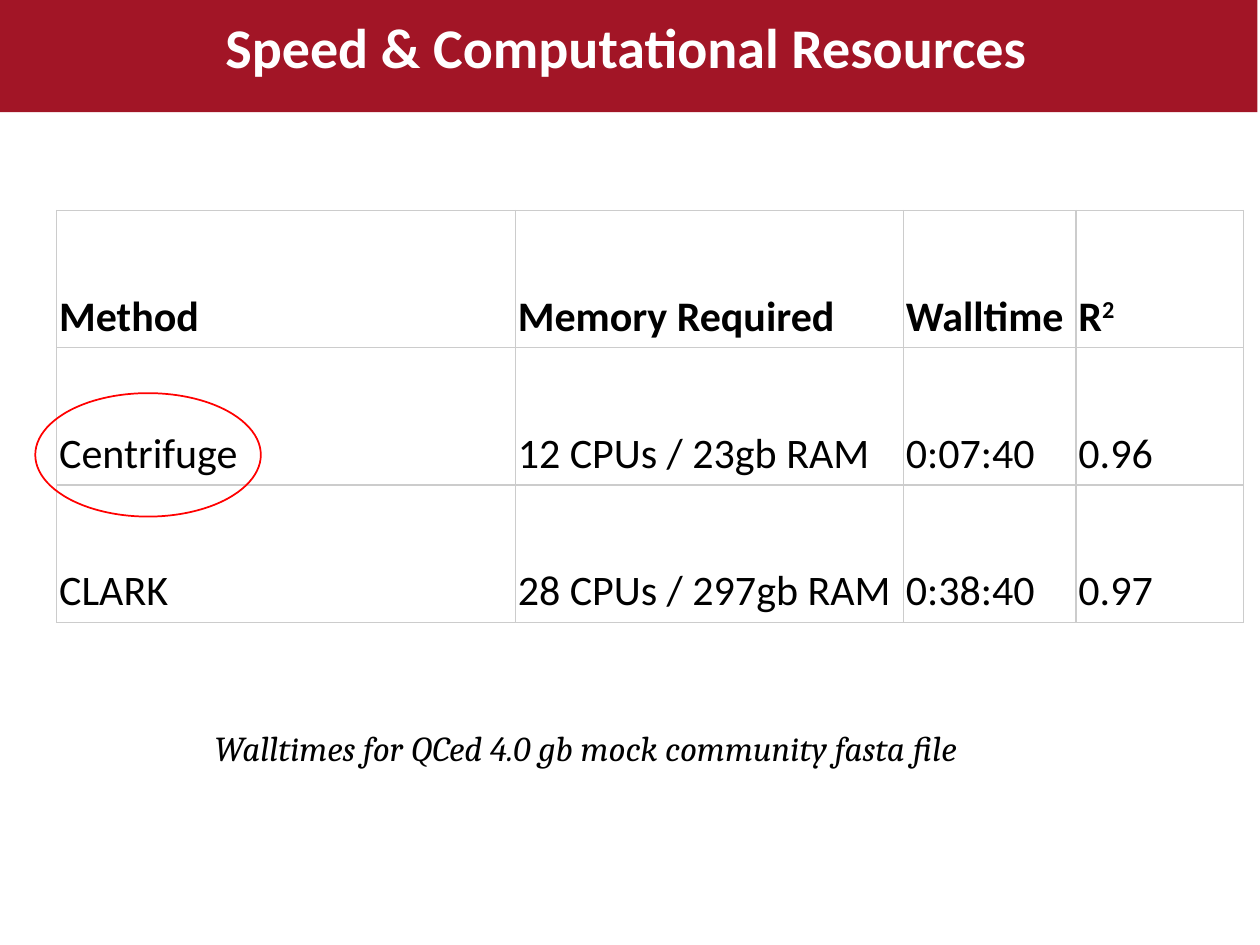
from lxml import etree
from pptx import Presentation
from pptx.dml.color import RGBColor
from pptx.enum.shapes import MSO_SHAPE
from pptx.enum.text import MSO_ANCHOR, PP_ALIGN
from pptx.oxml.ns import qn
from pptx.util import Inches, Pt

RECTANGLE, OVAL = MSO_SHAPE.RECTANGLE, MSO_SHAPE.OVAL
CENTER, JUSTIFY = PP_ALIGN.CENTER, PP_ALIGN.JUSTIFY
TOP, BOTTOM = MSO_ANCHOR.TOP, MSO_ANCHOR.BOTTOM

COLORS = {
    "background": "FFFFFF",
    "banner": "A21526",
    "title": "FFFFFF",
    "text": "000000",
    "grid": "CCCCCC",
    "highlight": "FF0000",
}

# Table grid, in inches
LEFT, TABLE_TOP = 0.45, 1.67
COLUMN_WIDTHS = [3.64, 3.08, 1.37, 1.33]
ROW_HEIGHT = 1.09
ROWS = [
    ["Method", "Memory Required", "Walltime", "R^2"],
    ["Centrifuge", "12 CPUs / 23gb RAM", "0:07:40", "0.96"],
    ["CLARK", "28 CPUs / 297gb RAM", "0:38:40", "0.97"],
]

TITLE_FONT = {"name": "Calibri", "size": Pt(32), "bold": True}
TABLE_FONT = {"name": "Calibri", "size": Pt(24)}
CAPTION_FONT = {"name": "Cambria", "size": Pt(20), "italic": True}


def color(name):
    return RGBColor.from_string(COLORS[name])


def set_attributes(target, values):
    for name, value in values.items():
        setattr(target, name, value)


def add_run(paragraph, text, font, color_name):
    run = paragraph.add_run()
    run.text = text
    set_attributes(run.font, font)
    run.font.color.rgb = color(color_name)
    return run


def add_text(slide, box, text, font, color_name):
    """Add a centred, wrapping line of text."""
    frame = slide.shapes.add_textbox(*map(Inches, box)).text_frame
    set_attributes(frame, {"word_wrap": True, "vertical_anchor": TOP})
    paragraph = frame.paragraphs[0]
    paragraph.alignment = CENTER
    add_run(paragraph, text, font, color_name)


def add_shape(slide, kind, box, fill=None, line=None):
    shape = slide.shapes.add_shape(kind, *map(Inches, box))
    shape.shadow.inherit = False
    for part, name in ((shape.fill, fill), (shape.line.fill, line)):
        if name:
            part.solid()
            part.fore_color.rgb = color(name)
        else:
            part.background()
    if line:
        shape.line.width = Pt(1)


def add_borders(cell):
    """Draw all four cell edges; they must precede the cell fill."""
    properties = cell._tc.get_or_add_tcPr()
    for index, side in enumerate(("a:lnL", "a:lnR", "a:lnT", "a:lnB")):
        edge = etree.Element(qn(side), w=str(Pt(0.75)))
        fill = etree.SubElement(edge, qn("a:solidFill"))
        etree.SubElement(fill, qn("a:srgbClr"), val=COLORS["grid"])
        properties.insert(index, edge)


def fill_cell(cell, text, bold):
    set_attributes(cell, {
        "vertical_anchor": BOTTOM,
        "margin_left": Inches(0.02), "margin_right": Inches(0.02),
        "margin_top": Inches(0.04), "margin_bottom": Inches(0.04),
    })
    cell.fill.background()
    add_borders(cell)
    paragraph = cell.text_frame.paragraphs[0]
    paragraph.alignment = JUSTIFY
    font = {**TABLE_FONT, "bold": bold}
    # A caret separates the base text from its superscript
    base, _, exponent = text.partition("^")
    add_run(paragraph, base, font, "text")
    if exponent:
        run = add_run(paragraph, exponent, font, "text")
        run.font._element.set("baseline", "30000")


def add_results_table(slide):
    box = (LEFT, TABLE_TOP, sum(COLUMN_WIDTHS), ROW_HEIGHT * len(ROWS))
    table = slide.shapes.add_table(
        len(ROWS), len(COLUMN_WIDTHS), *map(Inches, box)).table
    table.first_row = table.horz_banding = False
    for column, width in zip(table.columns, COLUMN_WIDTHS):
        column.width = Inches(width)
    for row_index, values in enumerate(ROWS):
        table.rows[row_index].height = Inches(ROW_HEIGHT)
        for column_index, text in enumerate(values):
            fill_cell(table.cell(row_index, column_index), text, row_index == 0)


def main():
    presentation = Presentation()
    presentation.slide_width = Inches(10)
    presentation.slide_height = Inches(7.5)
    slide = presentation.slides.add_slide(presentation.slide_layouts[6])
    slide.background.fill.solid()
    slide.background.fill.fore_color.rgb = color("background")

    # Results and caption
    add_results_table(slide)
    add_text(slide, (LEFT, 5.72, 8.4, 0.3),
             "Walltimes for QCed 4.0 gb mock community fasta file",
             CAPTION_FONT, "text")

    # Title banner
    add_shape(slide, RECTANGLE, (-0.02, 0, 10, 0.89), fill="banner")
    add_text(slide, (-0.05, 0.05, 10.04, 0.96),
             "Speed & Computational Resources", TITLE_FONT, "title")

    # Ring around the preferred method
    add_shape(slide, OVAL, (0.28, 3.12, 1.79, 0.98), line="highlight")

    presentation.save("out.pptx")


if __name__ == "__main__":
    main()
